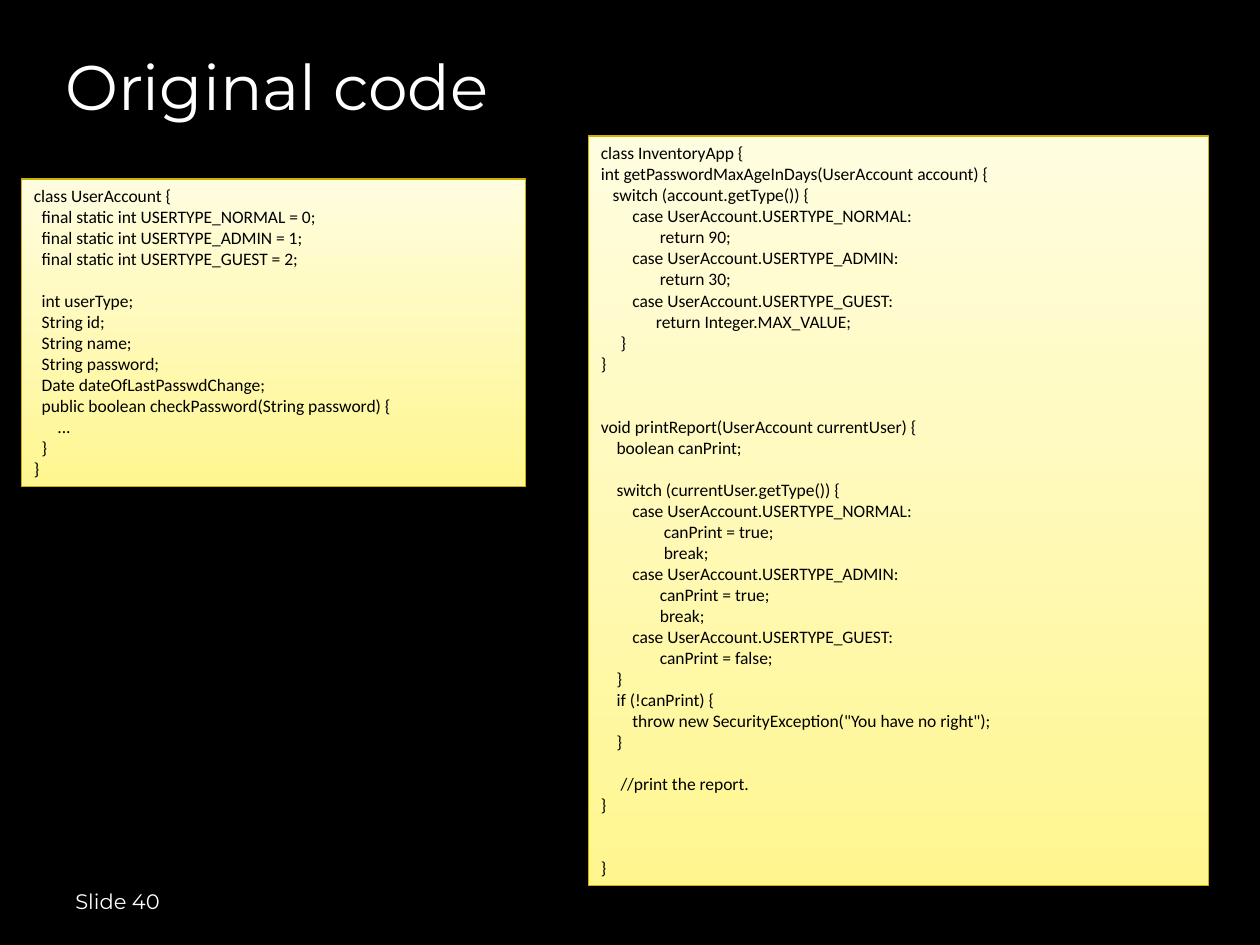
"""Build a slide that shows two code listings under a title."""
from dataclasses import dataclass

import pptx
import pptx.dml.color
import pptx.enum.shapes
import pptx.enum.text
import pptx.util

Inches = pptx.util.Inches
Pt = pptx.util.Pt
RGBColor = pptx.dml.color.RGBColor
MSO_ANCHOR = pptx.enum.text.MSO_ANCHOR
PP_ALIGN = pptx.enum.text.PP_ALIGN


@dataclass(frozen=True)
class Theme:
    """Colours, fonts and type sizes of the slide."""
    background: str = "000000"
    heading: str = "FFFFFF"
    code: str = "000000"
    panel_bottom: str = "FFF690"
    panel_top: str = "FFFDE0"
    panel_line: str = "CCB400"
    heading_font: str = "Montserrat"
    code_font: str = "Calibri"
    title_size: int = 36
    footer_size: int = 12
    code_size: int = 10
    code_line: int = 12
    line_width: float = 0.75


THEME = Theme()

USER_ACCOUNT = """\
class UserAccount {
  final static int USERTYPE_NORMAL = 0;
  final static int USERTYPE_ADMIN = 1;
  final static int USERTYPE_GUEST = 2;

  int userType;
  String id;
  String name;
  String password;
  Date dateOfLastPasswdChange;
  public boolean checkPassword(String password) {
      ...
  }
}"""

PASSWORD_AGE = """\
class InventoryApp {
int getPasswordMaxAgeInDays(UserAccount account) {
   switch (account.getType()) {
        case UserAccount.USERTYPE_NORMAL:
               return 90;
        case UserAccount.USERTYPE_ADMIN:
               return 30;
        case UserAccount.USERTYPE_GUEST:
              return Integer.MAX_VALUE;
     }
}


"""

PRINT_REPORT = """\
void printReport(UserAccount currentUser) {
    boolean canPrint;

    switch (currentUser.getType()) {
        case UserAccount.USERTYPE_NORMAL:
                canPrint = true;
                break;
        case UserAccount.USERTYPE_ADMIN:
               canPrint = true;
               break;
        case UserAccount.USERTYPE_GUEST:
               canPrint = false;
    }
    if (!canPrint) {
        throw new SecurityException("You have no right");
    }

     //print the report.
}


}"""


def style_runs(p, font, size, color):
    """Format every run of a paragraph."""
    for r in p.runs:
        r.font.name = font
        r.font.size = Pt(size)
        r.font.color.rgb = RGBColor.from_string(color)


def add_heading(slide, box, text, size):
    """Place one line of heading text, centred vertically in its box."""
    tf = slide.shapes.add_textbox(*map(Inches, box)).text_frame
    tf.word_wrap = True
    tf.vertical_anchor = MSO_ANCHOR.MIDDLE
    tf.text = text
    style_runs(tf.paragraphs[0], THEME.heading_font, size, THEME.heading)


def add_code_panel(slide, box, code):
    """Place a shaded panel of code, with empty lines set as space before."""
    sp = slide.shapes.add_shape(
        pptx.enum.shapes.MSO_SHAPE.RECTANGLE, *map(Inches, box))
    sp.shadow.inherit = False
    sp.fill.gradient()
    sp.fill.gradient_angle = 90
    for stop, color in zip(sp.fill.gradient_stops,
                           (THEME.panel_bottom, THEME.panel_top)):
        stop.color.rgb = RGBColor.from_string(color)
    sp.line.color.rgb = RGBColor.from_string(THEME.panel_line)
    sp.line.width = Pt(THEME.line_width)

    tf = sp.text_frame
    tf.word_wrap = True
    tf.vertical_anchor = MSO_ANCHOR.TOP
    p, gap = tf.paragraphs[0], 0
    for line in code.splitlines():
        if not line:
            gap += 1
            continue
        if p.runs:
            p = tf.add_paragraph()
        p.text = line
        p.alignment = PP_ALIGN.LEFT
        if gap:
            p.space_before = Pt(gap * THEME.code_line)
        style_runs(p, THEME.code_font, THEME.code_size, THEME.code)
        gap = 0


def main():
    """Build and save the slide."""
    prs = pptx.Presentation()
    prs.slide_width, prs.slide_height = Inches(10), Inches(7.5)
    slide = prs.slides.add_slide(prs.slide_layouts[6])
    slide.background.fill.solid()
    slide.background.fill.fore_color.rgb = RGBColor.from_string(THEME.background)

    add_heading(slide, (0.5, 6.95, 2.33, 0.4), "Slide 40", THEME.footer_size)
    add_heading(slide, (0.42, 0.33, 9, 0.7), "Original code", THEME.title_size)
    add_code_panel(slide, (0.17, 1.42, 4, 2.44), USER_ACCOUNT)
    add_code_panel(slide, (4.67, 1.08, 4.92, 5.95), PASSWORD_AGE + PRINT_REPORT)
    prs.save("out.pptx")


if __name__ == "__main__":
    main()
